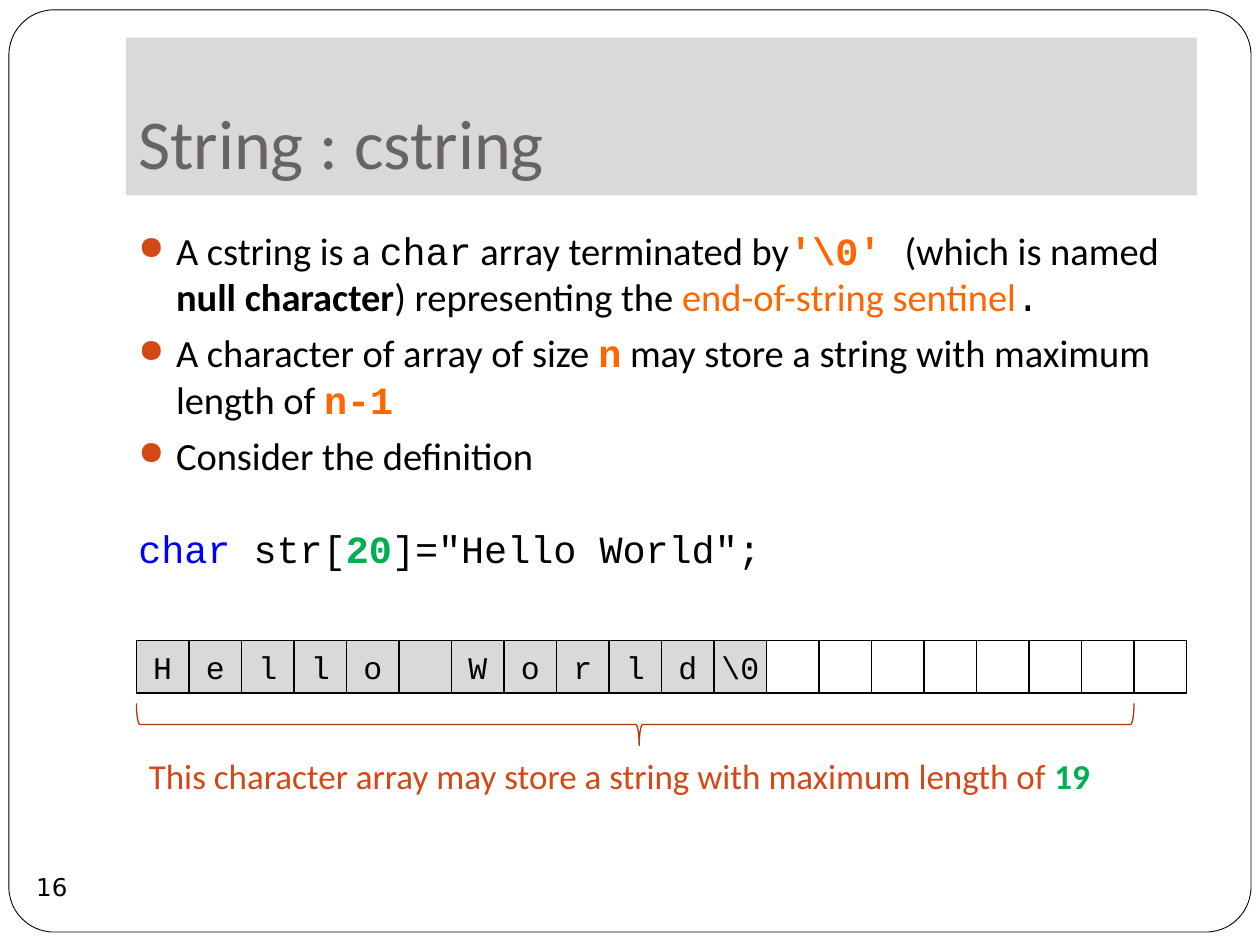
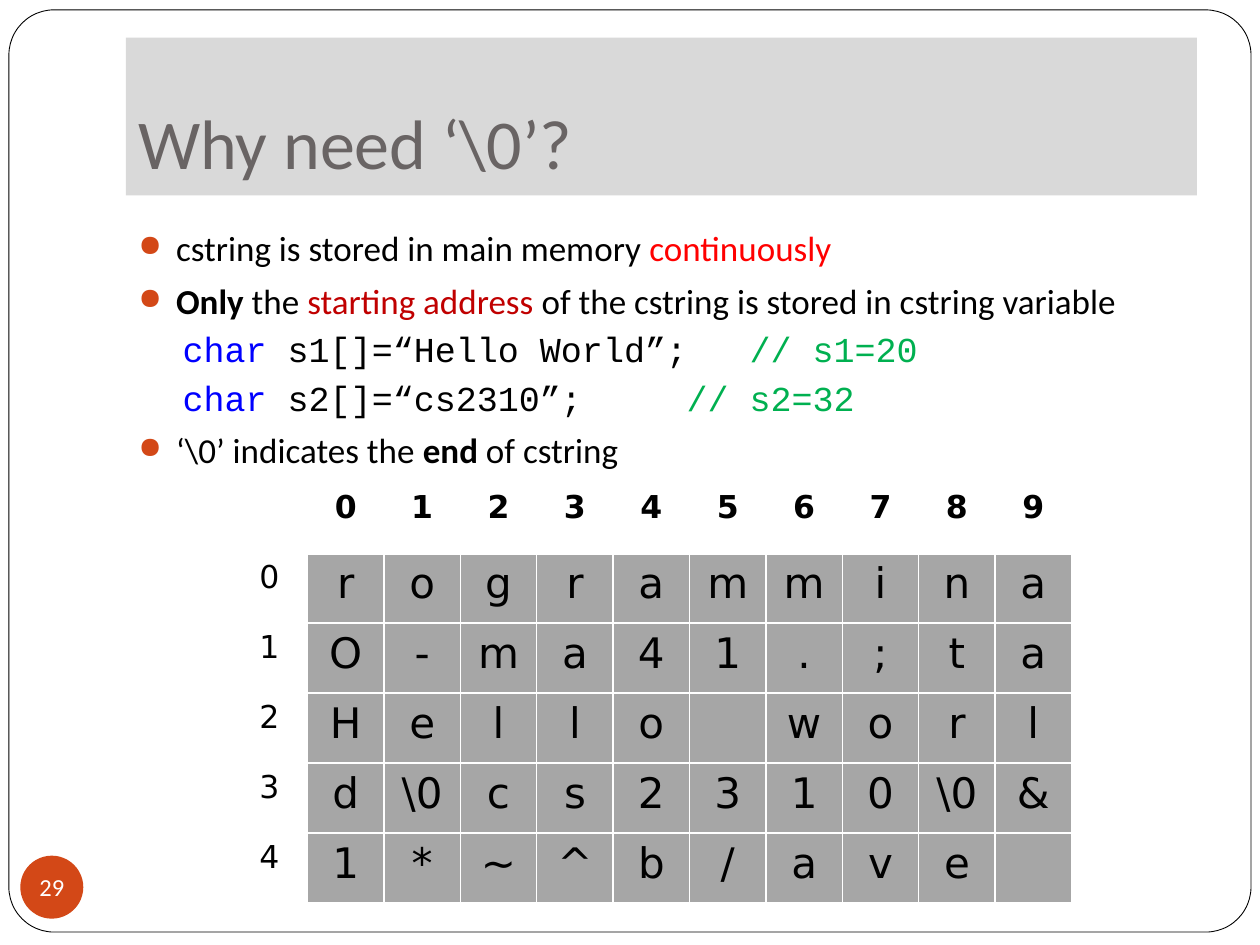
from dataclasses import dataclass
from typing import NamedTuple, Optional, Sequence

from lxml import etree
from pptx import Presentation, util as u
from pptx.dml.color import RGBColor
from pptx.enum import shapes, text
from pptx.oxml import ns


@dataclass(frozen=True)
class Theme:
    sans: str = "Calibri"
    mono: str = "Courier New"
    digits: str = "DejaVu Sans"
    white: str = "FFFFFF"
    black: str = "000000"
    title: str = "696464"
    band: str = "D9D9D9"
    accent: str = "D34817"
    brace: str = "B1360B"
    orange: str = "FF6600"
    keyword: str = "0000FF"
    green: str = "00B050"
    red: str = "FF0000"
    dark_red: str = "C00000"
    memory: str = "A6A6A6"
    title_size: int = 40
    memory_size: int = 24
    large: int = 22
    body: int = 20
    label: int = 18
    number: int = 14


T = Theme()
SHAPE = shapes.MSO_SHAPE
CENTER = text.PP_ALIGN.CENTER
MIDDLE = text.MSO_ANCHOR.MIDDLE


class Box(NamedTuple):
    """Left, top, width and height in centimetres."""
    x: float
    y: float
    w: float
    h: float

    def emu(self) -> list:
        return [u.Cm(v) for v in self]


class Span(NamedTuple):
    text: str
    color: str = T.black
    bold: bool = False
    font: str = T.sans


class Para(NamedTuple):
    spans: Sequence[Span]
    bullet: bool = True
    indent: float = 0.76
    before: float = 5.8


class Badge(NamedTuple):
    number: Span
    fill: Optional[str] = None


def code(string: str, color: str = T.black, bold: bool = False) -> Span:
    return Span(string, color, bold, T.mono)


def paint(fill, color: Optional[str]) -> None:
    if color is None:
        fill.background()
    else:
        fill.solid()
        fill.fore_color.rgb = RGBColor.from_string(color)


def add_spans(p, spans: Sequence[Span], size: float) -> None:
    for span in spans:
        r = p.add_run()
        r.text = span.text
        r.font.name = span.font
        r.font.size = u.Pt(size)
        r.font.bold = span.bold
        r.font.color.rgb = RGBColor.from_string(span.color)


def add_preset(s, kind, box: Box, fill: Optional[str] = None,
               line: Optional[str] = None, width: float = 0.75):
    sp = s.shapes.add_shape(kind, *box.emu())
    sp.shadow.inherit = False
    paint(sp.fill, fill)
    paint(sp.line.fill, line)
    if line:
        sp.line.width = u.Pt(width)
    return sp


def center_label(sp, span: Span, size: float) -> None:
    tf = sp.text_frame
    tf.word_wrap = False
    tf.vertical_anchor = MIDDLE
    p = tf.paragraphs[0]
    p.alignment = CENTER
    add_spans(p, [span], size)


def add_text(s, box: Box, paras: Sequence[Para], size: float) -> None:
    tf = s.shapes.add_textbox(*box.emu()).text_frame
    tf.word_wrap = True
    for i, para in enumerate(paras):
        p = tf.add_paragraph() if i else tf.paragraphs[0]
        p.space_before = u.Pt(para.before)
        p_pr = p._p.get_or_add_pPr()
        p_pr.set("marL", str(u.Cm(para.indent)))
        p_pr.set("indent", str(-u.Cm(para.indent) if para.bullet else 0))
        if para.bullet:
            color = etree.SubElement(p_pr, ns.qn("a:buClr"))
            etree.SubElement(color, ns.qn("a:srgbClr"), val=T.accent)
            etree.SubElement(p_pr, ns.qn("a:buSzPct"), val="85000")
            etree.SubElement(p_pr, ns.qn("a:buChar"), char="●")
        add_spans(p, para.spans, size)


def add_base_slide(prs, title: str, badge: Badge):
    """Add a slide with the rounded frame, title band and slide number."""
    s = prs.slides.add_slide(prs.slide_layouts[6])
    frame = add_preset(s, SHAPE.ROUNDED_RECTANGLE, Box(0.18, 0.2, 25.04, 18.59),
                       T.white, T.black, 0.5)
    frame.adjustments[0] = 0.049

    tf = add_preset(s, SHAPE.RECTANGLE, Box(2.54, 0.76, 21.59, 3.18), T.band).text_frame
    tf.word_wrap = True
    tf.vertical_anchor = text.MSO_ANCHOR.BOTTOM
    tf.margin_bottom = u.Cm(0.25)
    tf.paragraphs[0].alignment = text.PP_ALIGN.LEFT
    add_spans(tf.paragraphs[0], [Span(title, T.title)], T.title_size)

    disc = add_preset(s, SHAPE.OVAL, Box(0.41, 17.25, 1.27, 1.27), badge.fill)
    tf = disc.text_frame
    tf.margin_left = tf.margin_right = tf.margin_top = tf.margin_bottom = 0
    center_label(disc, badge.number, T.number)
    return s


def add_char_array(s, chars: Sequence[str], slots: int, row: Box) -> None:
    side = row.w / slots
    for i in range(slots):
        used = i < len(chars)
        cell = add_preset(s, SHAPE.RECTANGLE, Box(row.x + i * side, row.y, side, row.h),
                          T.band if used else None, T.black)
        if used and chars[i].strip():
            center_label(cell, code(chars[i]), T.label)


def set_borders(cell, color: str, bottom: float) -> None:
    tc_pr = cell._tc.get_or_add_tcPr()
    for side, width in (("L", 1), ("R", 1), ("T", 1), ("B", bottom)):
        ln = etree.SubElement(tc_pr, ns.qn(f"a:ln{side}"), w=str(u.Pt(width)))
        solid = etree.SubElement(ln, ns.qn("a:solidFill"))
        etree.SubElement(solid, ns.qn("a:srgbClr"), val=color)


def add_memory_table(s, box: Box, rows: Sequence[Sequence[str]]) -> None:
    """Draw memory bytes with a numbered header row and first column."""
    columns = len(rows[0])
    grid = [["", *map(str, range(columns))]]
    grid += [[str(i), *row] for i, row in enumerate(rows)]
    table = s.shapes.add_table(len(grid), columns + 1, *box.emu()).table
    table.first_row = table.horz_banding = False
    for column in table.columns:
        column.width = u.Cm(box.w / (columns + 1))
    for i, row in enumerate(grid):
        table.rows[i].height = u.Cm(box.h / len(grid))
        for j, value in enumerate(row):
            cell = table.cell(i, j)
            is_byte = i > 0 and j > 0
            set_borders(cell, T.white, 1 if i else 3)
            paint(cell.fill, T.memory if is_byte else None)
            if value.strip():
                p = cell.text_frame.paragraphs[0]
                p.alignment = CENTER
                add_spans(p, [Span(value, bold=i == 0, font=T.digits)],
                          T.memory_size if is_byte else T.label)


def build_cstring_slide(prs) -> None:
    s = add_base_slide(prs, "String : cstring", Badge(Span("16", font=T.digits)))
    add_text(s, Box(2.54, 4.45, 21.59, 7.82), [
        Para([Span("A cstring is a "), code("char"), Span(" array terminated by"),
              code(r"'\0' ", T.orange, True), Span("(which is named "),
              Span("null character", bold=True), Span(") representing the "),
              Span("end-of-string sentinel", T.orange), code(".")]),
        Para([Span("A character of array of size "), code("n", T.orange, True),
              Span(" may store a string with maximum length of "),
              code("n-1", T.orange, True)]),
        Para([Span("Consider the definition")]),
        Para([code("char ", T.keyword), code("str["), code("20", T.green, True),
              code(']="Hello World";')], bullet=False, indent=0, before=27),
    ], T.large)

    add_char_array(s, [*"Hello World", r"\0"], 20, Box(2.75, 12.91, 21.17, 1.06))
    add_text(s, Box(2.75, 15.08, 20.62, 1.11), [
        Para([Span("This character array may store a string with maximum length of ", T.accent),
              Span("19", T.green, True)], bullet=False, indent=0, before=0),
    ], T.body)
    brace = add_preset(s, SHAPE.RIGHT_BRACE, Box(12.38, 4.55, 0.85, 20.11), line=T.brace)
    brace.rotation = 90
    brace.adjustments[0] = 0.083
    brace.adjustments[1] = 0.496


def build_terminator_slide(prs) -> None:
    s = add_base_slide(prs, r"Why need ‘\0’?", Badge(Span("29", T.white), T.accent))
    snippet = dict(bullet=False, indent=0.89, before=3.7)
    add_text(s, Box(2.54, 4.45, 21.59, 6.15), [
        Para([Span("cstring is stored in main memory "), Span("continuously", T.red)]),
        Para([Span("Only", bold=True), Span(" the "), Span("starting address", T.dark_red),
              Span(" of the cstring is stored in cstring variable")]),
        Para([code("char", T.keyword), code(" s1[]=“Hello World”;\t"),
              code("// s1=20", T.green)], **snippet),
        Para([code("char", T.keyword), code(" s2[]=“cs2310”;"),
              code(" \t\t// s2=32", T.green)], **snippet),
        Para([Span(r"‘\0’ indicates the "), Span("end", bold=True), Span(" of cstring")]),
    ], T.body)
    add_memory_table(s, Box(4.66, 9.73, 16.94, 8.48), [
        "rogrammina",
        "O-ma41.;ta",
        "Hello worl",
        ["d", r"\0", *"cs2310", r"\0", "&"],
        "1*~^b/ave ",
    ])


def main() -> None:
    prs = Presentation()
    prs.slide_width, prs.slide_height = u.Cm(25.4), u.Cm(19.05)
    build_cstring_slide(prs)
    build_terminator_slide(prs)
    prs.save("out.pptx")


if __name__ == "__main__":
    main()
